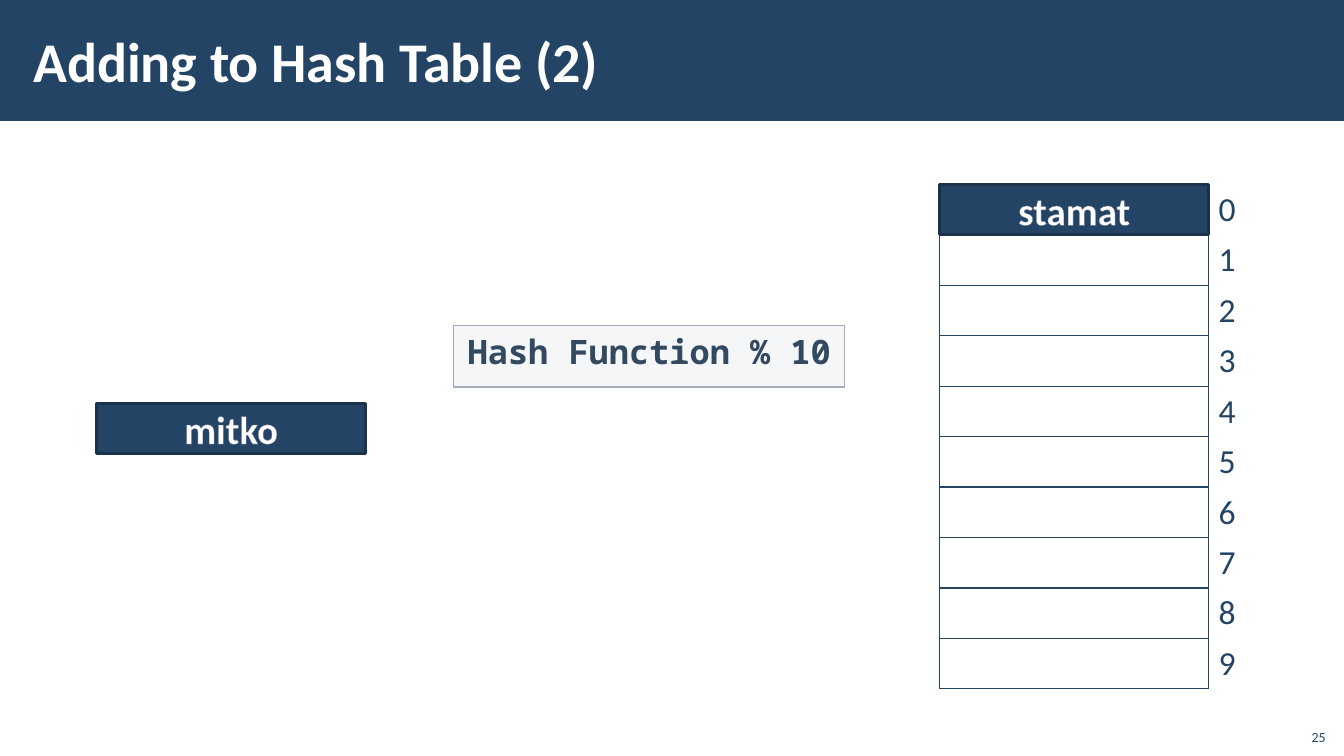
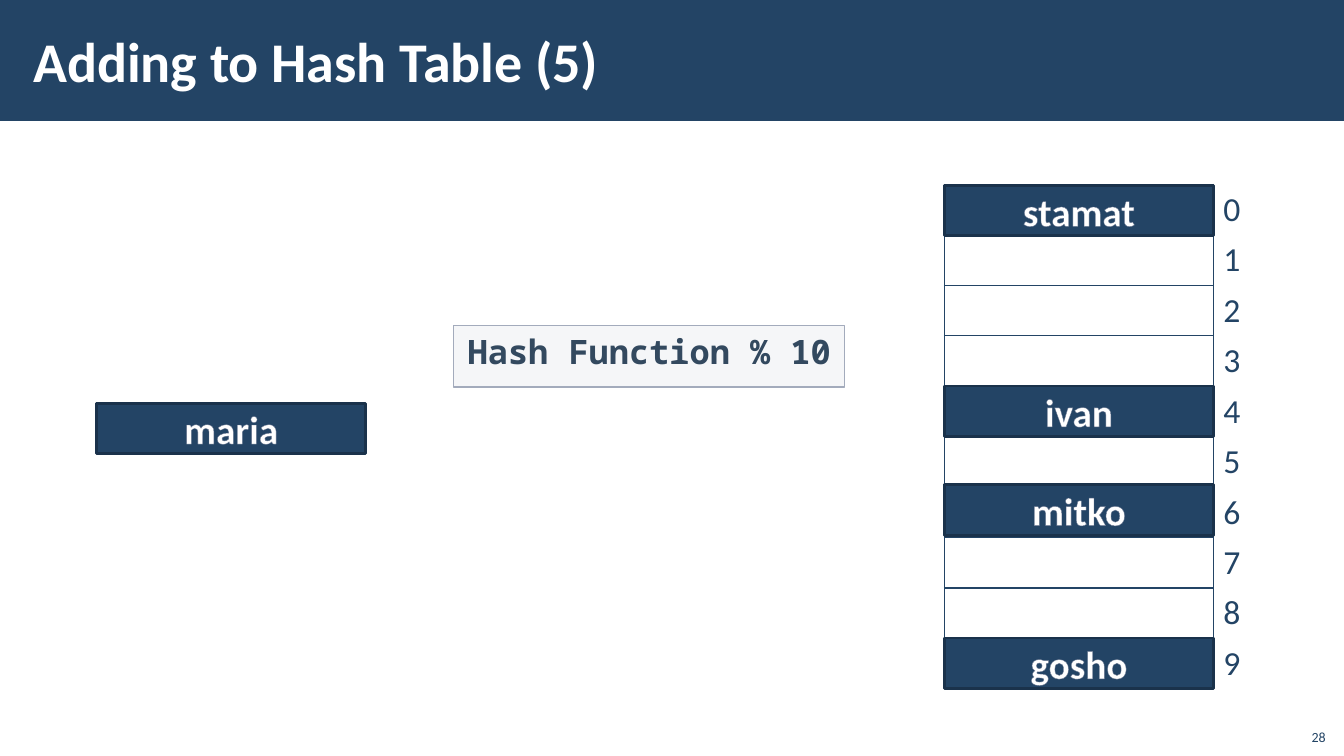
from lxml.etree import SubElement
from pptx import Presentation
from pptx.dml.color import RGBColor
from pptx.enum.shapes import MSO_SHAPE as Shape
from pptx.enum.text import MSO_ANCHOR as Anchor, PP_ALIGN as Align
from pptx.oxml import parse_xml
from pptx.oxml.ns import nsdecls, qn
from pptx.util import Inches, Pt

COLORS = {
    "navy": "234465", "edge": "1A324B", "code": "1A334C", "white": "FFFFFF",
    "glow": "67748E", "panel": "C2C7D2", "panel_edge": "A3ABBC",
}
COLUMNS, ROWS = 40, 15
SLOTS, TABLE_TOP, SLOT_WIDTH, INDEX_WIDTH = 10, 3.66, 8, 1.68
NO_STYLE = "{2D5ABB26-0587-4C30-8999-92F81FD0307C}"
SLIDES = [
    ("Adding to Hash Table (2)", "25", "mitko", 27.97, [("stamat", 0)]),
    ("Adding to Hash Table (5)", "28", "maria", 28.11,
     [("stamat", 0.02), ("mitko", 5.96), ("ivan", 4), ("gosho", 9)]),
]


class HashDeck:
    """Holds the deck, its style and the current slide."""

    def __init__(self):
        self.deck = Presentation()
        self.deck.slide_width, self.deck.slide_height = Inches(13.33), Inches(7.5)
        self.layout = self.deck.slide_layouts[5]
        self.page = None

    def place(self, left, top, width, height):
        column = self.deck.slide_width / COLUMNS
        row = self.deck.slide_height / ROWS
        return [int(n) for n in (left * column, top * row, width * column, height * row)]

    def color(self, name):
        return RGBColor.from_string(COLORS[name])

    def label(self, frame, text, size, color, bold=False, align=Align.LEFT,
              anchor=Anchor.TOP, font="Calibri"):
        frame.text = text
        frame.word_wrap = True
        frame.vertical_anchor = anchor
        para = frame.paragraphs[0]
        para.alignment = align
        span = para.runs[0]
        span.font.name, span.font.size, span.font.bold = font, Pt(size), bold
        span.font.color.rgb = self.color(color)
        return span

    def box(self, kind, area, fill, line=None, width=1, shapes=None):
        box = (shapes or self.page.shapes).add_shape(kind, *self.place(*area))
        box.shadow.inherit = False
        box.fill.solid()
        box.fill.fore_color.rgb = self.color(fill)
        if line:
            box.line.color.rgb = self.color(line)
            box.line.width = Pt(width)
        else:
            box.line.fill.background()
        return box

    def band(self):
        band = self.box(Shape.RECTANGLE, (0, 0, COLUMNS, 2.4), "navy")
        self.layout.shapes._spTree.insert(2, band._element)

    def start(self, title, number):
        first = self.page is None
        self.page = self.deck.slides.add_slide(self.layout)
        if first:
            self.band()
        heading = self.page.shapes.title
        heading.left, heading.top, heading.width, heading.height = self.place(0.63, 0.22, 31.9, 1.94)
        frame = heading.text_frame
        frame.margin_left = frame.margin_right = Inches(0.12)
        frame.margin_top = frame.margin_bottom = Inches(0.04)
        self.label(frame, title, 40, "white", True, anchor=Anchor.MIDDLE)
        box = self.page.shapes.add_textbox(*self.place(38.55, 14.24, 1.2, 0.64))
        self.label(box.text_frame, number, 10, "navy", align=Align.RIGHT, anchor=Anchor.BOTTOM)

    def border(self, cell, sides):
        for side in sides:
            line = SubElement(cell._tc.get_or_add_tcPr(), qn(f"a:ln{side}"), w=str(Pt(1)))
            SubElement(SubElement(line, qn("a:solidFill")), qn("a:srgbClr"), val=COLORS["navy"])
        cell.fill.background()

    def table(self, left):
        area = self.place(left, TABLE_TOP, SLOT_WIDTH + INDEX_WIDTH, SLOTS)
        table = self.page.shapes.add_table(SLOTS, 2, *area).table
        table.first_row = table.horz_banding = False
        table._tbl.tblPr.find(qn("a:tableStyleId")).text = NO_STYLE
        for column, width in zip(table.columns, (SLOT_WIDTH, INDEX_WIDTH)):
            column.width = self.place(0, 0, width, 0)[2]
        for index in range(SLOTS):
            self.border(table.cell(index, 0), "LRTB")
            index_cell = table.cell(index, 1)
            self.border(index_cell, "L")
            self.label(index_cell.text_frame, str(index), 24, "navy")

    def key(self, name, left, top):
        box = self.box(Shape.FLOWCHART_PROCESS, (left, top, SLOT_WIDTH, 1), "navy", "edge", 2)
        span = self.label(box.text_frame, name, 28, "white", True, Align.CENTER, Anchor.MIDDLE)
        outline = parse_xml(
            f'<a:ln {nsdecls("a")} w="{Pt(0.8)}"><a:solidFill>'
            f'<a:srgbClr val="{COLORS["glow"]}"/></a:solidFill></a:ln>')
        span.font._element.insert(0, outline)

    def function(self, text):
        shapes = self.page.shapes.add_group_shape().shapes
        panel = self.box(Shape.RECTANGLE, (13.5, 6.46, 11.64, 1.22), "panel", "panel_edge", shapes=shapes)
        tint = panel._element.spPr.find(qn("a:solidFill"))[0]
        SubElement(tint, qn("a:alpha"), val="15000")
        caption = shapes.add_textbox(*self.place(13.5, 6.46, 11.64, 1))
        self.label(caption.text_frame, text, 24, "code", True, Align.CENTER, font="Noto Sans Mono")


def main():
    show = HashDeck()
    for title, number, incoming, left, stored in SLIDES:
        show.start(title, number)
        show.table(left)
        for name, slot in stored:
            show.key(name, left, TABLE_TOP + slot)
        show.key(incoming, 2.88, 8)
        show.function("Hash Function % 10")
    show.deck.save("out.pptx")


if __name__ == "__main__":
    main()
